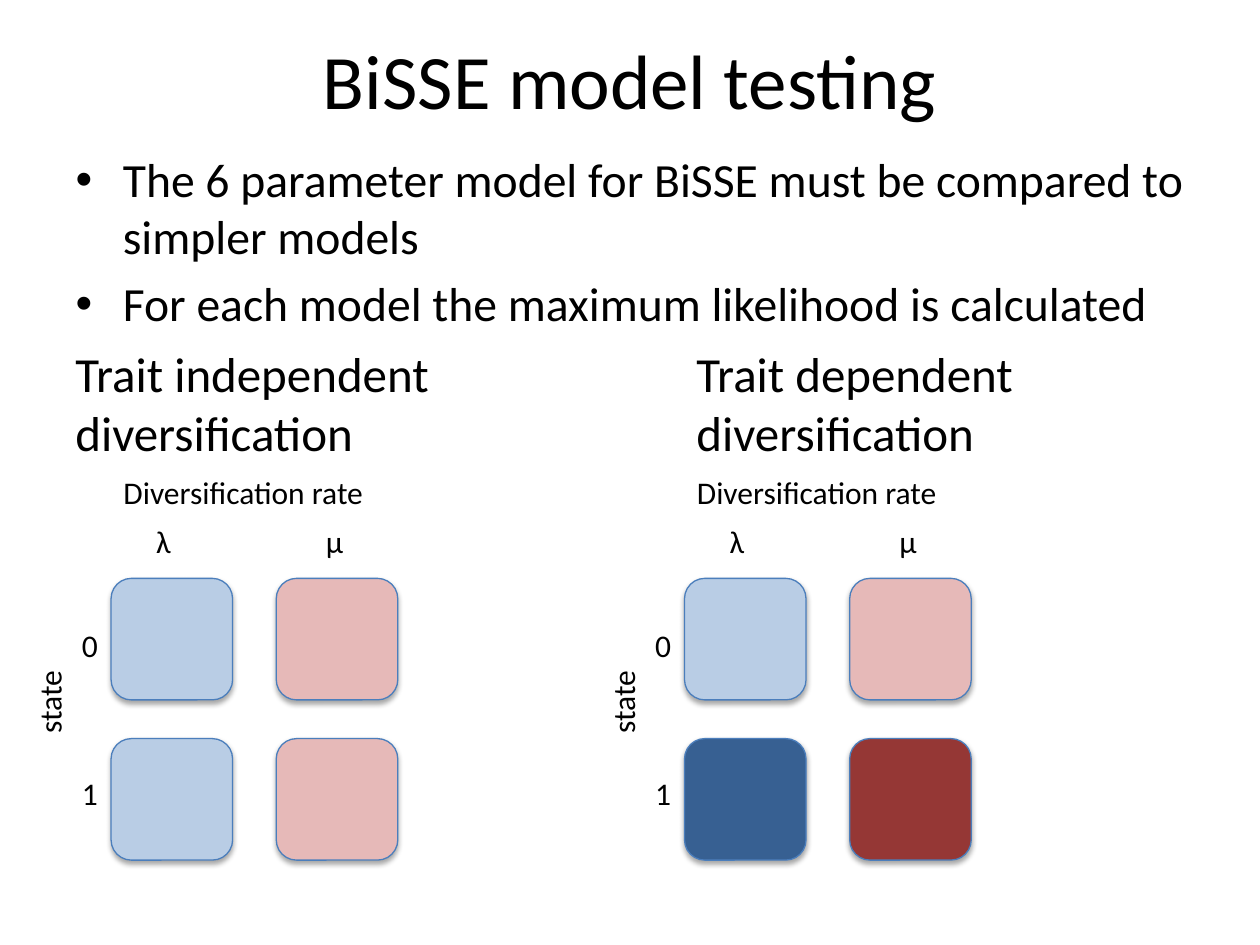
from lxml import etree
from pptx import Presentation
from pptx import util as u
from pptx.dml.color import RGBColor
from pptx.enum import shapes, text
from pptx.oxml.ns import qn

BLACK = RGBColor(0x00, 0x00, 0x00)
OUTLINE = RGBColor(0x4B, 0x7E, 0xBC)
PALE_BLUE = RGBColor(0xB9, 0xCD, 0xE5)
PALE_RED = RGBColor(0xE6, 0xB9, 0xB8)
DARK_BLUE = RGBColor(0x37, 0x60, 0x92)
DARK_RED = RGBColor(0x95, 0x37, 0x35)

TILE = 2.45
COLUMN_STEP, ROW_STEP = 3.33, 3.23
TILES_LEFT, TILES_TOP = 2.24, 11.66
PANEL_STEP = 11.56


class Deck:
    font = "Calibri"

    def __init__(self, prs):
        self.s = prs.slides.add_slide(prs.slide_layouts[1])

    def style(self, p, size):
        p.font.name = self.font
        p.font.size = u.Pt(size)
        p.font.color.rgb = BLACK

    def placeholder(self, index, box, lines, size):
        sp = self.s.placeholders[index]
        sp.left, sp.top, sp.width, sp.height = map(u.Cm, box)
        tf = sp.text_frame
        tf.auto_size = text.MSO_AUTO_SIZE.NONE
        tf.text = "\n".join(lines)
        for p in tf.paragraphs:
            self.style(p, size)
        tf.paragraphs[0].space_before = u.Pt(0)

    def label(self, box, words, size=18, wrap=False, rotation=0):
        sp = self.s.shapes.add_textbox(*map(u.Cm, box))
        sp.rotation = rotation
        tf = sp.text_frame
        tf.word_wrap = wrap
        tf.auto_size = text.MSO_AUTO_SIZE.SHAPE_TO_FIT_TEXT
        tf.text = words
        self.style(tf.paragraphs[0], size)

    def tile(self, left, top, color):
        sp = self.s.shapes.add_shape(
            shapes.MSO_SHAPE.ROUNDED_RECTANGLE,
            u.Cm(left), u.Cm(top), u.Cm(TILE), u.Cm(TILE))
        sp.fill.solid()
        sp.fill.fore_color.rgb = color
        sp.line.color.rgb = OUTLINE
        sp.line.width = u.Pt(0.75)
        self.soft_shadow(sp)

    def soft_shadow(self, sp):
        """Replace the theme shadow with a faint one straight below."""
        sp.shadow.inherit = False
        effects = sp._element.spPr.find(qn("a:effectLst"))
        shadow = etree.SubElement(
            effects, qn("a:outerShdw"), blurRad=str(u.Pt(3.1)),
            dist=str(u.Pt(1.8)), dir="5400000", rotWithShape="0")
        color = etree.SubElement(shadow, qn("a:srgbClr"), val=str(BLACK))
        etree.SubElement(color, qn("a:alpha"), val="35000")

    def rate_panel(self, x, rows):
        """Draw a state-by-rate grid, shifted right by x."""
        for i, row in enumerate(rows):
            for j, color in enumerate(row):
                self.tile(x + TILES_LEFT + j * COLUMN_STEP,
                          TILES_TOP + i * ROW_STEP, color)
        for left, symbol in ((2.9, "λ"), (6.32, "μ")):
            self.label((x + left, 10.39, 0.84, 1.02), symbol)
        for top, state in ((12.5, "0"), (15.47, "1")):
            self.label((x + 1.4, top, 0.84, 1.02), state)
        self.label((x + 2.24, 9.42, 5.44, 1.02), "Diversification rate")
        self.label((x + 0.08, 13.61, 1.83, 1.02), "state", rotation=270)


def main():
    prs = Presentation()
    prs.slide_width, prs.slide_height = u.Cm(25.4), u.Cm(19.05)
    deck = Deck(prs)
    deck.placeholder(0, (1.27, 0, 22.86, 3.18), ["BiSSE model testing"], 44)
    deck.placeholder(1, (1.27, 2.9, 22.86, 4.32), [
        "The 6 parameter model for BiSSE must be compared to simpler models",
        "For each model the maximum likelihood is calculated",
    ], 27.2)

    pale = (PALE_BLUE, PALE_RED)
    dark = (DARK_BLUE, DARK_RED)
    panels = (
        ("Trait independent diversification", 1.27, (pale, pale)),
        ("Trait dependent diversification", 13.79, (pale, dark)),
    )
    for i, (heading, left, rows) in enumerate(panels):
        deck.rate_panel(i * PANEL_STEP, rows)
        deck.label((left, 6.8, 9.2, 2.64), heading, size=28, wrap=True)
    prs.save("out.pptx")


if __name__ == "__main__":
    main()
